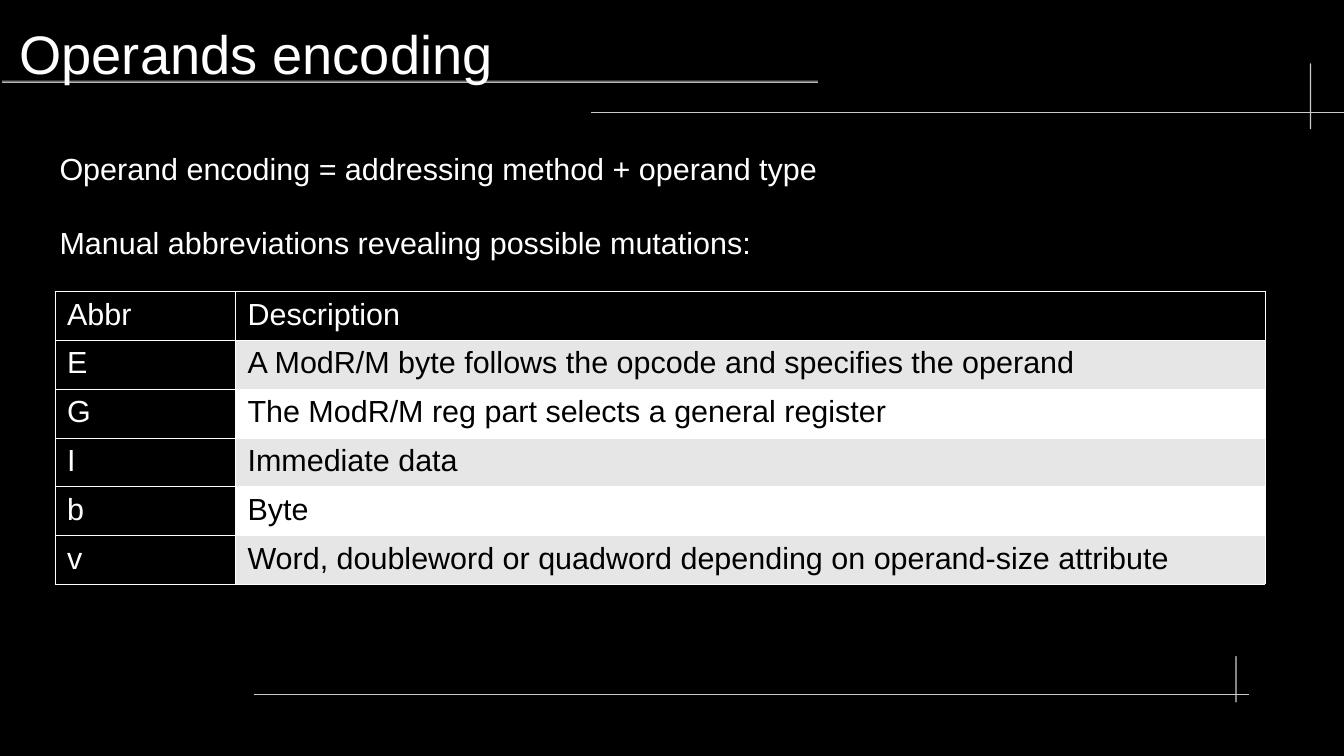
from dataclasses import dataclass

from lxml import etree
from pptx import Presentation
from pptx.dml.color import RGBColor
from pptx.enum.shapes import MSO_SHAPE
from pptx.enum.text import MSO_ANCHOR, MSO_AUTO_SIZE, PP_ALIGN
from pptx.oxml.ns import qn
from pptx.util import Inches, Pt

ROUNDED = MSO_SHAPE.ROUNDED_RECTANGLE
MIDDLE = MSO_ANCHOR.MIDDLE
LEFT = PP_ALIGN.LEFT
FIXED_SIZE = MSO_AUTO_SIZE.NONE
GROW = MSO_AUTO_SIZE.SHAPE_TO_FIT_TEXT
TITLE_ONLY = 5


@dataclass(frozen=True)
class Theme:
    font: str = "Arial"
    title_size: float = 32
    body_size: float = 18
    paragraph_gap: float = 22
    border_width: float = 0.06
    black: str = "000000"
    white: str = "FFFFFF"
    band: str = "E6E6E6"
    rule_light: str = "CCCCCC"
    rule_dark: str = "333333"


# left, top, width, height, first colour, last colour
RULES = [
    (0.02, 0.66, 6.69, 0.02, Theme.rule_light, Theme.rule_dark),
    (4.85, 0.92, 6.21, 0.01, Theme.rule_dark, Theme.rule_light),
    (10.74, 0.52, 0.01, 0.54, Theme.rule_light, Theme.rule_light),
    (2.08, 5.69, 8.16, 0.01, Theme.rule_dark, Theme.rule_light),
    (10.13, 5.38, 0.01, 0.38, Theme.rule_light, Theme.rule_light),
]
INTRODUCTION = [
    "Operand encoding = addressing method + operand type",
    "Manual abbreviations revealing possible mutations:",
]
ABBREVIATIONS = [
    ("Abbr", "Description"),
    ("E", "A ModR/M byte follows the opcode and specifies the operand"),
    ("G", "The ModR/M reg part selects a general register"),
    ("I", "Immediate data"),
    ("b", "Byte"),
    ("v", "Word, doubleword or quadword depending on operand-size attribute"),
]


class SlideBuilder:
    def __init__(self, slide, theme):
        self.slide = slide
        self.theme = theme

    def background(self):
        fill = self.slide.background.fill
        fill.solid()
        fill.fore_color.rgb = RGBColor.from_string(self.theme.black)

    def style(self, paragraph, size, color):
        paragraph.alignment = LEFT
        font = paragraph.font
        font.name = self.theme.font
        font.size = Pt(size)
        font.bold = False
        font.color.rgb = RGBColor.from_string(color)

    def rule(self, left, top, width, height, first, last):
        bar = self.slide.shapes.add_shape(
            ROUNDED, Inches(left), Inches(top), Inches(width), Inches(height))
        bar.adjustments[0] = 0.5
        bar.shadow.inherit = False
        bar.line.fill.background()
        if first == last:
            bar.fill.solid()
            bar.fill.fore_color.rgb = RGBColor.from_string(first)
            return
        bar.fill.gradient()
        bar.fill.gradient_angle = 90
        for stop, color in zip(bar.fill.gradient_stops, (first, last)):
            stop.color.rgb = RGBColor.from_string(color)

    def title(self, text, left, top, width, height):
        """Fill the title placeholder and bring it in front of the rules."""
        title = self.slide.shapes.title
        title.left, title.top = Inches(left), Inches(top)
        title.width, title.height = Inches(width), Inches(height)
        frame = title.text_frame
        frame.text = text
        frame.auto_size = FIXED_SIZE
        frame.vertical_anchor = MIDDLE
        frame.margin_left = frame.margin_right = 0
        frame.margin_top = frame.margin_bottom = 0
        self.style(frame.paragraphs[0], self.theme.title_size, self.theme.white)
        title.element.getparent().append(title.element)

    def text(self, lines, left, top, width, height):
        box = self.slide.shapes.add_textbox(
            Inches(left), Inches(top), Inches(width), Inches(height))
        frame = box.text_frame
        frame.word_wrap = False
        frame.auto_size = GROW
        frame.text = "\n".join(lines)
        for paragraph in frame.paragraphs:
            self.style(paragraph, self.theme.body_size, self.theme.white)
        for paragraph in frame.paragraphs[1:]:
            paragraph.space_before = Pt(self.theme.paragraph_gap)

    def borders(self, cell):
        properties = cell._tc.get_or_add_tcPr()
        for side in ("a:lnL", "a:lnR", "a:lnT", "a:lnB"):
            line = etree.SubElement(properties, qn(side),
                                    w=str(Pt(self.theme.border_width)))
            solid = etree.SubElement(line, qn("a:solidFill"))
            etree.SubElement(solid, qn("a:srgbClr"), val=self.theme.white)

    def cell_colors(self, row, column):
        """Return fill and text colours: dark headings, banded descriptions."""
        theme = self.theme
        if row == 0 or column == 0:
            return theme.black, theme.white
        return (theme.band if row % 2 else theme.white), theme.black

    def table(self, rows, left, top, widths, row_height):
        table = self.slide.shapes.add_table(
            len(rows), len(widths), Inches(left), Inches(top),
            Inches(sum(widths)), Inches(row_height * len(rows))).table
        table.first_row = table.horz_banding = False
        for column, width in zip(table.columns, widths):
            column.width = Inches(width)
        for row_index, row in enumerate(rows):
            for column_index, text in enumerate(row):
                cell = table.cell(row_index, column_index)
                fill, color = self.cell_colors(row_index, column_index)
                cell.text = text
                self.style(cell.text_frame.paragraphs[0],
                           self.theme.body_size, color)
                self.borders(cell)
                cell.fill.solid()
                cell.fill.fore_color.rgb = RGBColor.from_string(fill)


def main():
    deck = Presentation()
    deck.slide_width, deck.slide_height = Inches(11.02), Inches(6.2)
    slide = deck.slides.add_slide(deck.slide_layouts[TITLE_ONLY])
    page = SlideBuilder(slide, Theme())
    page.background()
    for rule in RULES:
        page.rule(*rule)
    page.title("Operands encoding", 0.16, 0.08, 10.43, 0.71)
    page.table(ABBREVIATIONS, 0.45, 2.39, (1.48, 8.44), 0.4)
    page.text(INTRODUCTION, 0.39, 1.18, 6.41, 0.94)
    deck.save("out.pptx")


if __name__ == "__main__":
    main()
